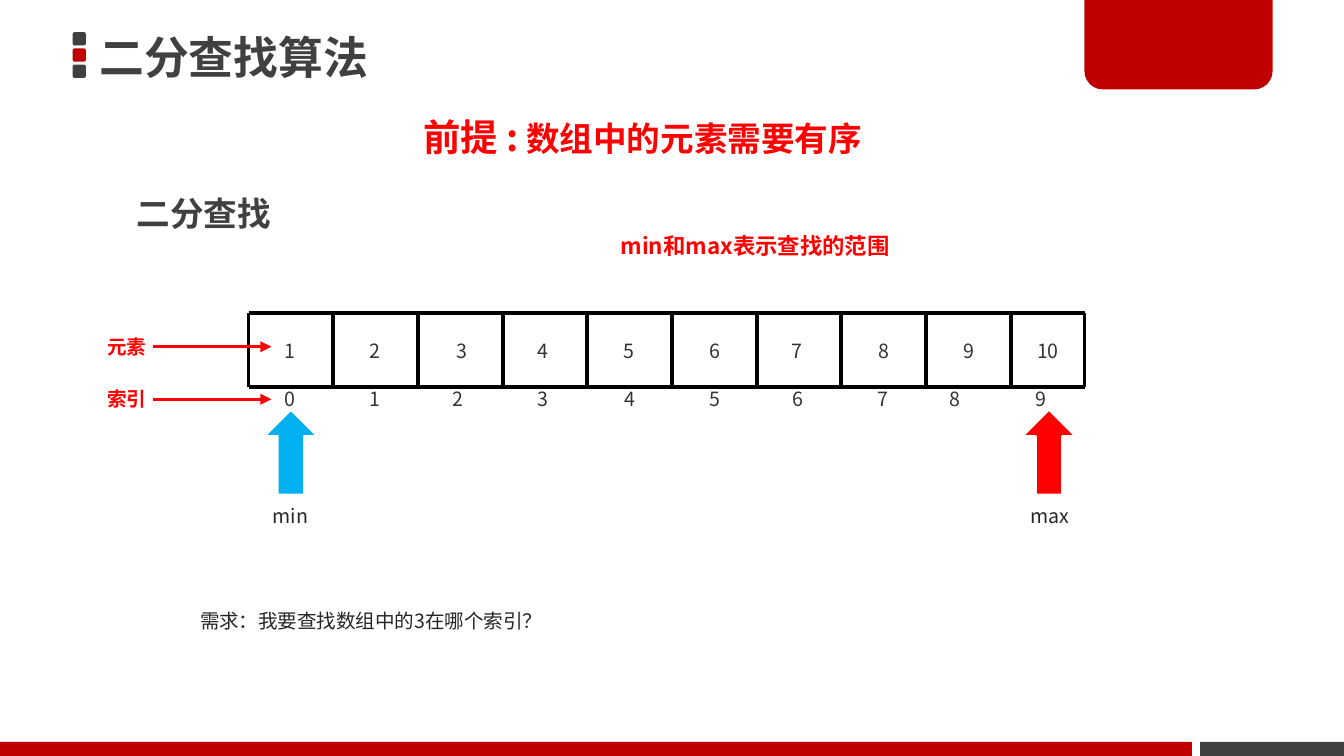
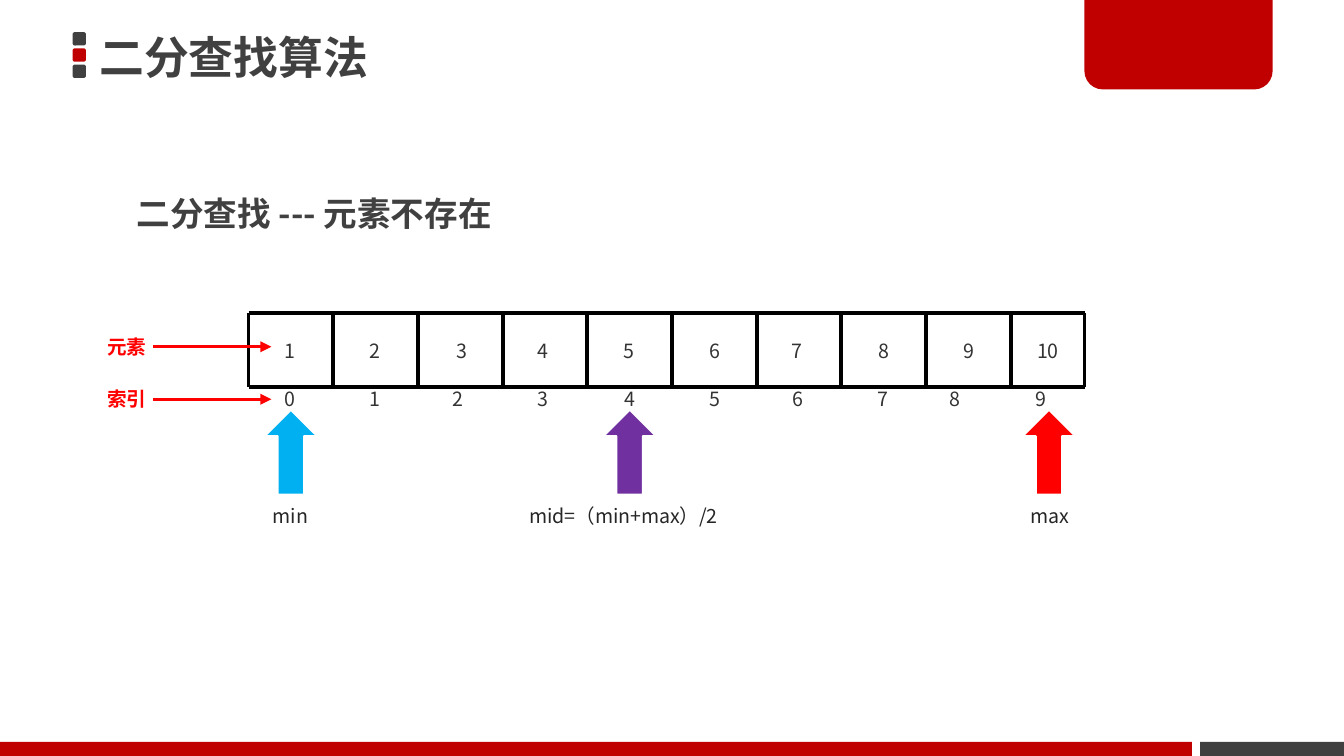
"""Builds two slides that explain binary search on a sorted array."""
import pptx
import pptx.dml.color
import pptx.enum.shapes
import pptx.enum.text
import pptx.oxml.ns
import pptx.util
from lxml import etree

Pt = pptx.util.Pt
RGB = pptx.dml.color.RGBColor
KIND = pptx.enum.shapes.MSO_SHAPE
ANCHOR = pptx.enum.text.MSO_ANCHOR
qn = pptx.oxml.ns.qn

DARK = RGB(0x40, 0x40, 0x40)
CRIMSON = RGB(0xC0, 0x00, 0x00)
RED = RGB(0xFF, 0x00, 0x00)
BLUE = RGB(0x00, 0xB0, 0xF0)
PURPLE = RGB(0x70, 0x30, 0xA0)
BLACK = RGB(0x00, 0x00, 0x00)
WHITE = RGB(0xFF, 0xFF, 0xFF)
DIGIT = RGB(0x33, 0x33, 0x33)
INK = RGB(0x26, 0x26, 0x26)
SANS = "Noto Sans CJK SC"
HEAD = "Noto Sans CJK JP"

LEFT, RIGHT, TOP, BASE, STEP = 133.2, 581, 167.8, 207.4, 45.36
CELLS = [145.4, 190.8, 237.6, 280.8, 326.9, 373, 416.9, 463.7, 509, 548.6]
MARKS = [145.4, 190.8, 235.4, 280.8, 327.6, 373, 417.6, 463, 501.8, 547.9]
SIDES = [LEFT + STEP * i for i in range(10)] + [RIGHT]
MIDDLE = SIDES[5]

MIN = (141.8, BLUE, "min", 139, 33.8, False)
MAX = (547.9, RED, "max", 545, 36, False)
MID = (323.3, PURPLE, "mid=（min+max）/2", 276.5, 122.4, True)
PAGES = [
    ("二分查找", [LEFT, RIGHT], [MIN, MAX]),
    ("二分查找 --- 元素不存在", [LEFT, MIDDLE, RIGHT], [MIN, MAX, MID]),
]


def write(slide, words, x, y, w, h=20.2, size=10.5, color=INK, bold=False,
          font=SANS, wrap=False, space=None, tail=()):
    """Adds a text box; tail holds further (words, size) runs."""
    box = slide.shapes.add_textbox(Pt(x), Pt(y), Pt(w), Pt(h))
    frame = box.text_frame
    frame.word_wrap = wrap
    para = frame.paragraphs[0]
    if space:
        para.line_spacing = space
    for part, points in [(words, size), *tail]:
        run = para.add_run()
        run.text = part
        run.font.size = Pt(points)
        run.font.bold = bold
        run.font.name = font
        run.font.color.rgb = color
        east = etree.SubElement(run.font._element, qn("a:ea"))
        east.set("typeface", font)
    return box


def draw(slide, x1, y1, x2, y2, color=BLACK, width=2, arrow=False):
    """Adds a straight line, with an arrowhead at its end if asked."""
    line = slide.shapes.add_connector(
        pptx.enum.shapes.MSO_CONNECTOR.STRAIGHT, Pt(x1), Pt(y1), Pt(x2), Pt(y2))
    line.line.color.rgb = color
    line.line.width = Pt(width)
    if arrow:
        etree.SubElement(line.line._get_or_add_ln(), qn("a:tailEnd"), type="triangle")
    etree.SubElement(line._element.spPr, qn("a:effectLst"))
    return line


deck = pptx.Presentation()
deck.slide_width, deck.slide_height = Pt(720), Pt(405)

for topic, cuts, hands in PAGES:
    slide = deck.slides.add_slide(deck.slide_layouts[6])

    forms = [(KIND.ROUNDED_RECTANGLE, 38.9, 17.2 + 8.7 * i, 7.2, 7.2, hue, [0.17])
             for i, hue in enumerate([DARK, CRIMSON, DARK])]
    forms += [
        (KIND.RECTANGLE, 643, 397.5, 77, 7.5, DARK, []),
        (KIND.ROUND_2_SAME_RECTANGLE, 581, -1.4, 100.8, 49.3, CRIMSON, [0, 0.2]),
        (KIND.RECTANGLE, 0, 397.5, 638.6, 7.5, CRIMSON, []),
    ]
    forms += [(KIND.UP_ARROW, hand[0], 219.6, 28.1, 45.4, hand[1], []) for hand in hands]
    for kind, x, y, w, h, hue, bends in forms:
        shape = slide.shapes.add_shape(kind, Pt(x), Pt(y), Pt(w), Pt(h))
        shape.shadow.inherit = False
        shape.fill.solid()
        shape.fill.fore_color.rgb = hue
        if kind == KIND.UP_ARROW:
            shape.line.color.rgb = WHITE
            shape.line.width = Pt(1)
        else:
            shape.line.fill.background()
        for i, bend in enumerate(bends):
            shape.adjustments[i] = bend

    for start, end in zip(cuts, cuts[1:]):
        for y in (TOP, BASE):
            draw(slide, start, y, end, y)
    for x in SIDES:
        draw(slide, x, TOP, x, BASE)

    for i, x in enumerate(CELLS):
        write(slide, str(i + 1), x, 177.8, 26.6 if i == 9 else 20.9, color=DIGIT)
    marks = [write(slide, str(i), x, 203.8, 20.9, color=DIGIT)
             for i, x in enumerate(MARKS)]
    for _, _, label, x, w, wrap in hands:
        write(slide, label, x, 266.4, w, wrap=wrap)

    for label, y, tip in [("元素", 175.7, 185.8), ("索引", 203.8, 213.9)]:
        write(slide, label, 50.4, y, 36, color=RED, bold=True)
        line = draw(slide, 82, tip, 145.4, tip, RED, 1.5, True)
    line.end_connect(marks[0], 1)

    write(slide, topic, 66.2, 89.3, 276.5, 40.3, size=18, color=DARK,
          bold=True, wrap=True, space=1.5)
    title = write(slide, "二分查找算法", 48.2, 15.1, 517.7, 30.2, size=24,
                  color=DARK, bold=True, font=HEAD, wrap=True).text_frame
    title.vertical_anchor = ANCHOR.MIDDLE
    title.margin_left = title.margin_right = Pt(5)
    title.margin_top = title.margin_bottom = Pt(3)

first = deck.slides[0]
write(first, "需求：我要查找数组中的3在哪个索引？", 100.1, 322.6, 200.9, wrap=True)
write(first, "min和max表示查找的范围", 325.4, 121, 160.6, 21.6, size=12,
      color=RED, bold=True, wrap=True)
write(first, "前提 :", 219.6, 57.6, 506.9, 31.7, size=20, color=RED, bold=True,
      font=HEAD, wrap=True, tail=[(" 数组中的元素需要有序", 18)])

deck.save("out.pptx")
